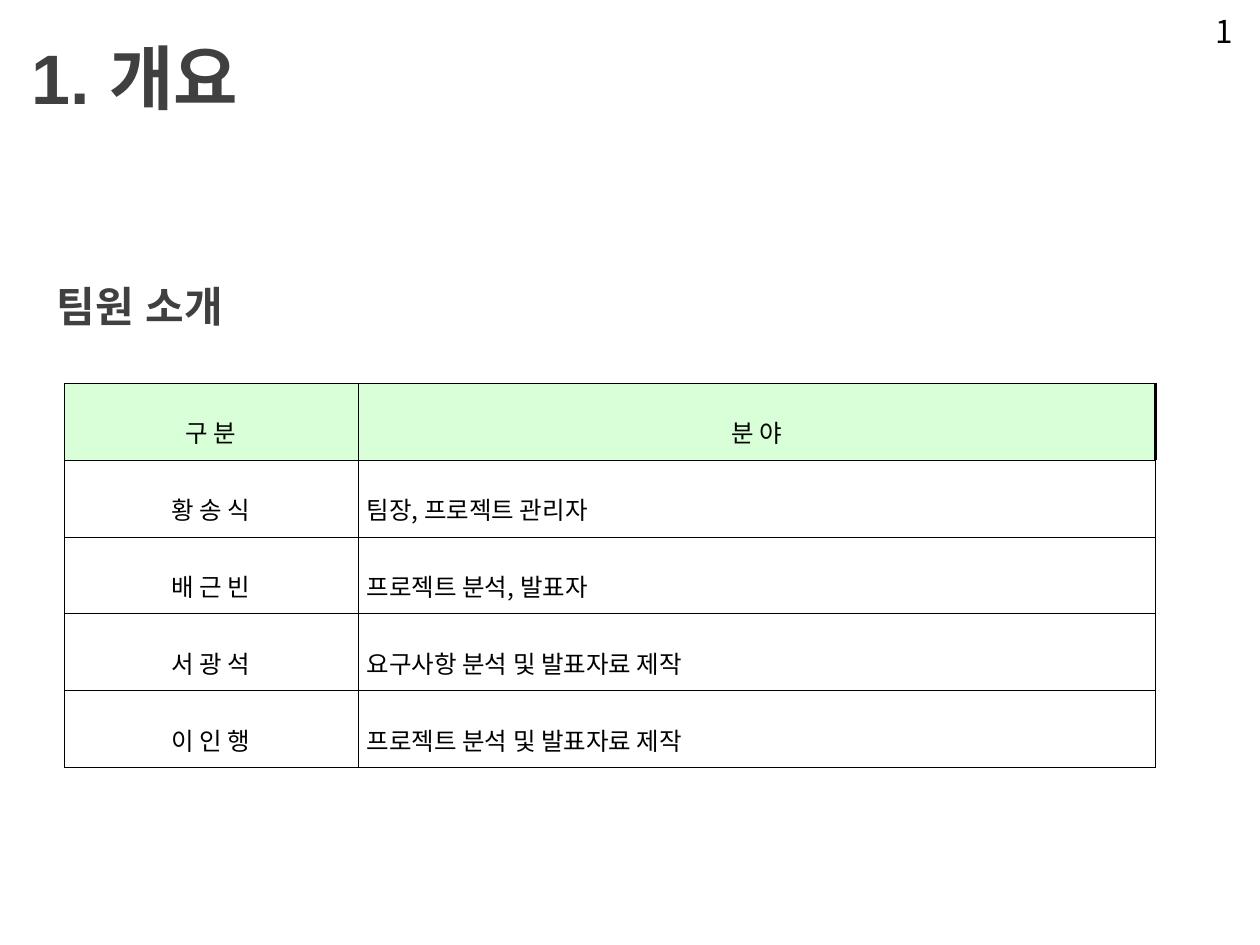
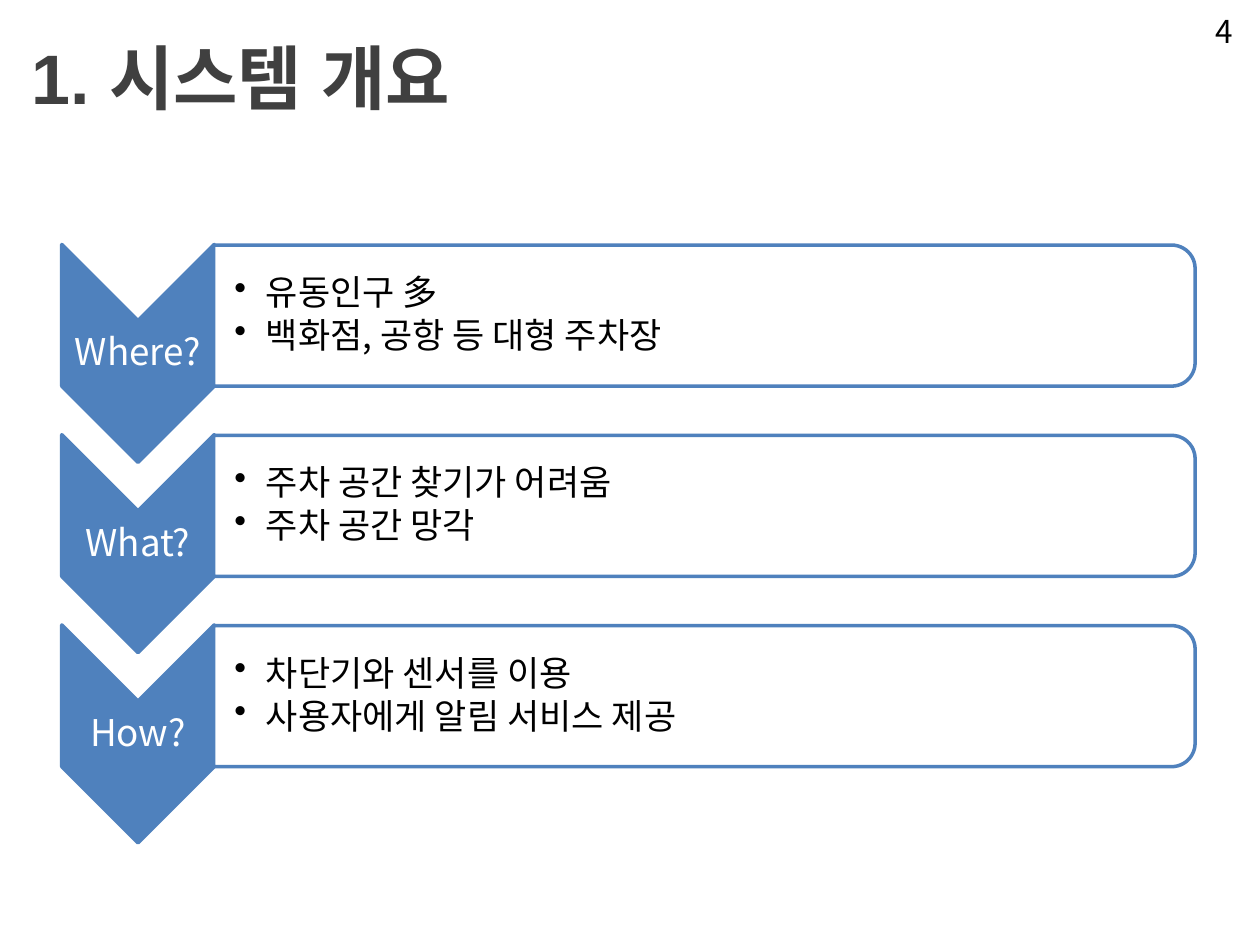
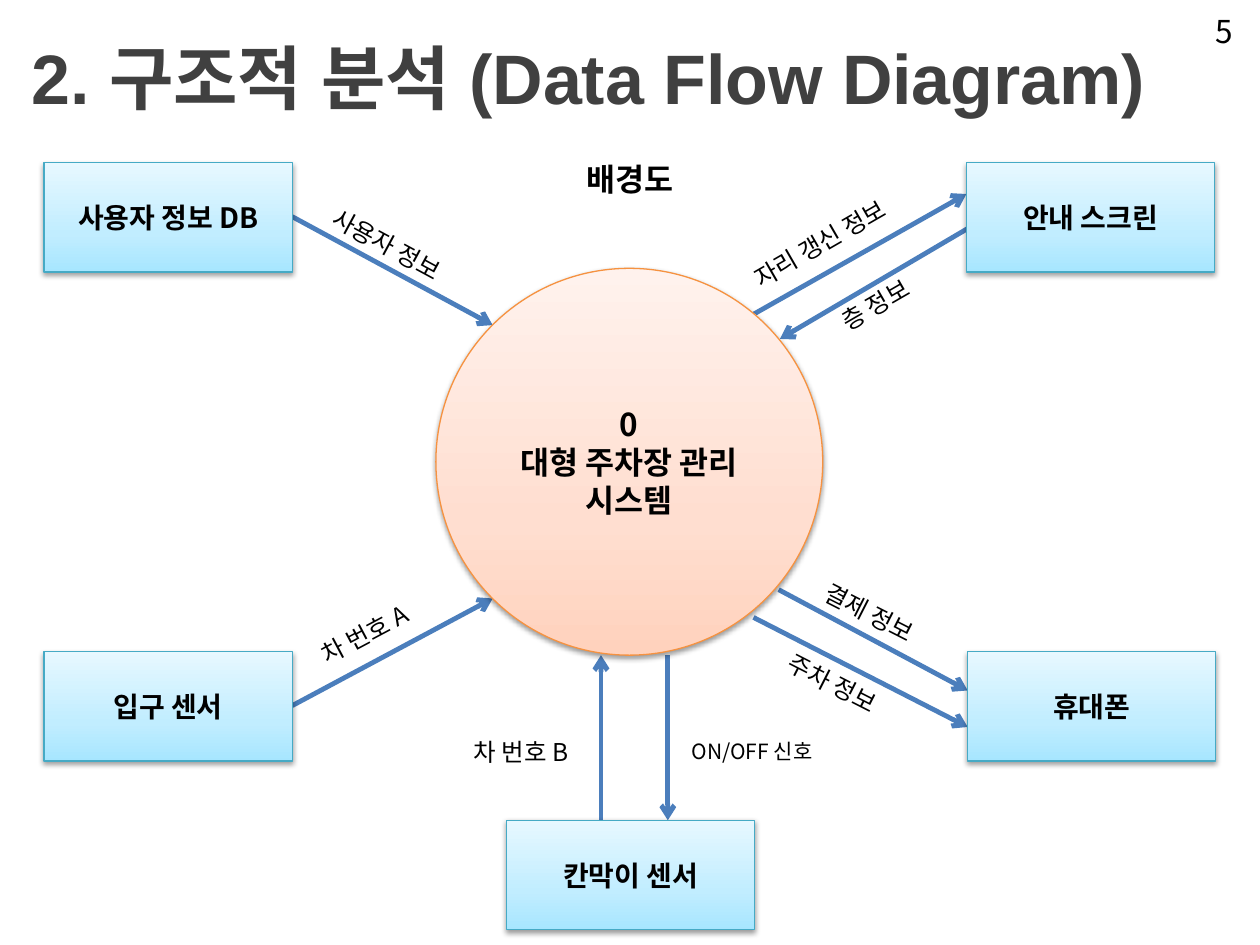
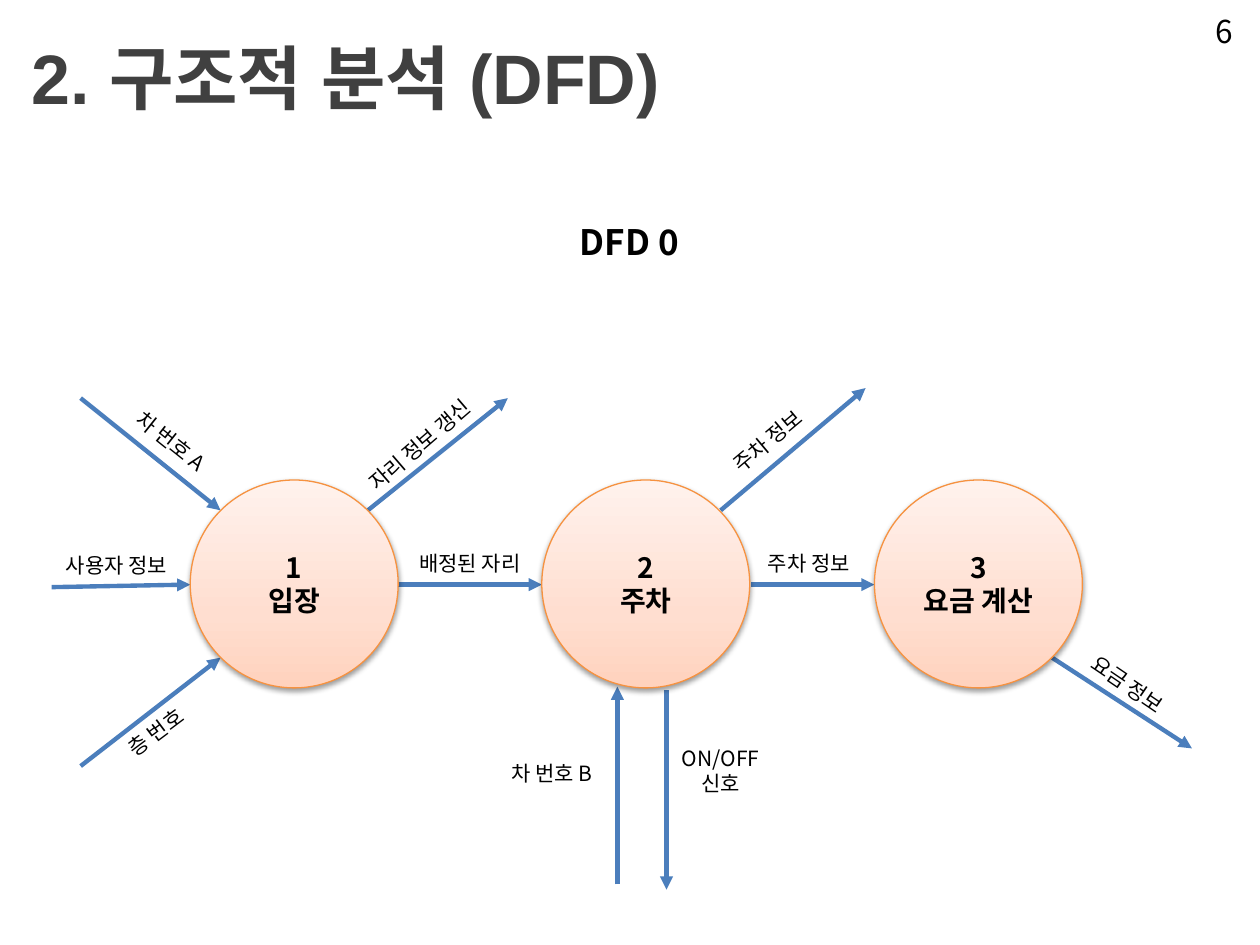
from lxml import etree
from pptx import Presentation
from pptx.dml.color import RGBColor
from pptx.enum.shapes import MSO_CONNECTOR, MSO_SHAPE
from pptx.enum.text import MSO_ANCHOR, MSO_AUTO_SIZE, PP_ALIGN
from pptx.oxml import parse_xml
from pptx.oxml.ns import nsdecls, qn
from pptx.util import Inches, Pt

# Shared look
TITLE_FONT = "Arial"
BODY_FONT = "Noto Sans CJK KR"
BLACK = RGBColor(0x00, 0x00, 0x00)
WHITE = RGBColor(0xFF, 0xFF, 0xFF)
TITLE_GRAY = RGBColor(0x40, 0x40, 0x40)
BLUE = RGBColor(0x4F, 0x81, 0xBD)
ARROW_BLUE = RGBColor(0x4B, 0x7E, 0xBC)
HEADER_GREEN = RGBColor(0xD8, 0xFF, 0xD8)
PROCESS_LINE = RGBColor(0xF6, 0x92, 0x40)
ENTITY_LINE = RGBColor(0x46, 0xAA, 0xC5)
PROCESS_STOPS = [(0, "FFD2BD"), (35, "FFDED0"), (100, "FFF2ED")]
ENTITY_STOPS = [(0, "A7E6FF"), (35, "C1EDFF"), (100, "E7F8FF")]

# Slide 1: team members
TEAM = [
    ("구 분", "분 야"),
    ("황 송 식", "팀장, 프로젝트 관리자"),
    ("배 근 빈", "프로젝트 분석, 발표자"),
    ("서 광 석", "요구사항 분석 및 발표자료 제작"),
    ("이 인 행", "프로젝트 분석 및 발표자료 제작"),
]
TEAM_COLUMNS = [2.33, 6.33]
TEAM_ROW_HEIGHT = 0.61

# Slide 2: system questions
QUESTIONS = [
    ("Where?", "유동인구 多\n백화점, 공항 등 대형 주차장"),
    ("What?", "주차 공간 찾기가 어려움\n주차 공간 망각"),
    ("How?", "차단기와 센서를 이용\n사용자에게 알림 서비스 제공"),
]
QUESTION_TOP, QUESTION_PITCH = 1.94, 1.51

# Slide 3: context diagram; entities are (text, left, top),
# flows are (from x, from y, to x, to y), labels are (text, box, rotation, size)
ENTITY_SIZE = (1.97, 0.87)
ENTITIES = [
    ("사용자 정보 DB", 0.35, 1.29),
    ("입구 센서", 0.35, 5.17),
    ("안내 스크린", 7.67, 1.29),
    ("휴대폰", 7.68, 5.17),
    ("칸막이 센서", 4.02, 6.51),
]
CONTEXT_FLOWS = [
    (5.97, 2.5, 7.67, 1.54),
    (2.32, 5.6, 3.91, 4.75),
    (2.32, 1.72, 3.91, 2.58),
    (7.84, 1.72, 6.19, 2.69),
    (6.18, 4.68, 7.68, 5.48),
    (5.3, 5.2, 5.3, 6.51),
    (4.77, 6.51, 4.77, 5.2),
    (5.98, 4.9, 7.68, 5.77),
]
CONTEXT_LABELS = [
    ("사용자 정보", (2.48, 1.85, 1.47, 0.34), 28.4, 14),
    ("결제 정보", (6.39, 4.81, 1.47, 0.34), 27, 14),
    ("주차 정보", (6.1, 5.37, 1.47, 0.34), 27, 14),
    ("자리 갱신 정보", (5.81, 1.69, 1.65, 0.34), 330, 14),
    ("층 정보", (6.55, 2.22, 0.9, 0.34), 330, 14),
    ("차 번호 A", (2.42, 4.84, 1.06, 0.34), 332, 14),
    ("차 번호 B", (3.66, 5.8, 1.06, 0.34), 0, 14),
    ("ON/OFF 신호", (5.39, 5.81, 1.28, 0.3), 0, 12),
]

# Slide 4: level 0 diagram
PROCESS_TOP, PROCESS_DIAMETER = 3.81, 1.65
PROCESSES = [("1\n입장", 1.51), ("2\n주차", 4.3), ("3\n요금 계산", 6.94)]
PROCESS_FLOWS = [
    (3.16, 4.64, 4.3, 4.64),
    (0.64, 3.16, 1.75, 4.05),
    (0.41, 4.66, 1.51, 4.64),
    (2.92, 4.05, 4.03, 3.16),
    (5.96, 4.64, 6.94, 4.64),
    (5.29, 5.48, 5.29, 7.06),
    (4.9, 7.02, 4.9, 5.45),
    (8.35, 5.22, 9.46, 5.94),
    (0.64, 6.08, 1.75, 5.22),
    (5.72, 4.05, 6.87, 3.08),
]
PROCESS_LABELS = [
    ("차 번호 A", (0.85, 3.35, 1.02, 0.3), 38.6, 12),
    ("사용자 정보", (0.35, 4.34, 1.15, 0.3), 0, 12),
    ("층 번호", (0.62, 5.66, 1.23, 0.3), 323.2, 12),
    ("자리 정보 갱신", (2.66, 3.38, 1.34, 0.3), 319.3, 12),
    ("배정된 자리", (3.06, 4.32, 1.34, 0.3), 0, 12),
    ("차 번호 B", (3.87, 5.99, 1.02, 0.3), 0, 12),
    ("주차 정보", (5.75, 4.32, 1.34, 0.3), 0, 12),
    ("ON/OFF\n신호", (5.21, 5.87, 1.02, 0.5), 0, 12),
    ("주차 정보", (5.58, 3.35, 1.02, 0.3), 320, 12),
    ("요금 정보", (8.44, 5.28, 1.02, 0.3), 34.2, 12),
]


def inches(values):
    return [Inches(value) for value in values]


def set_text(frame, text, size, color=BLACK, bold=False, align=PP_ALIGN.LEFT,
             font=BODY_FONT, spacing=None):
    frame.text = text
    frame.word_wrap = True
    for paragraph in frame.paragraphs:
        paragraph.alignment = align
        if spacing:
            paragraph.line_spacing = spacing
        for run in paragraph.runs:
            run.font.size = Pt(size)
            run.font.bold = bold
            run.font.name = font
            run.font.color.rgb = color
            east_asian = etree.SubElement(run.font._element, qn("a:ea"))
            east_asian.set("typeface", font)


def set_margins(target, left, top, right, bottom):
    target.margin_left, target.margin_top = Inches(left), Inches(top)
    target.margin_right, target.margin_bottom = Inches(right), Inches(bottom)


def add_text(slide, box, text, size, anchor=None, rotation=0, **style):
    """Add a text box; without an anchor it grows to fit its text."""
    shape = slide.shapes.add_textbox(*inches(box))
    shape.rotation = rotation
    frame = shape.text_frame
    set_text(frame, text, size, **style)
    if anchor is None:
        frame.auto_size = MSO_AUTO_SIZE.SHAPE_TO_FIT_TEXT
    else:
        frame.vertical_anchor = anchor
    return frame


def add_slide(presentation, title, number):
    slide = presentation.slides.add_slide(presentation.slide_layouts[6])
    frame = add_text(slide, (0, 0.02, 10, 1.17), title, 40, MSO_ANCHOR.MIDDLE,
                     color=TITLE_GRAY, bold=True, font=TITLE_FONT)
    frame.margin_left = Inches(0.25)
    add_text(slide, (9.33, 0.05, 0.55, 0.4), number, 18, align=PP_ALIGN.RIGHT)
    return slide


def add_shape(slide, kind, box, line_color, line_width):
    shape = slide.shapes.add_shape(kind, *inches(box))
    shape.shadow.inherit = False
    shape.line.color.rgb = line_color
    shape.line.width = Pt(line_width)
    return shape


def add_node(slide, kind, box, text, size, stops, line_color):
    """Add a diagram node with a vertical gradient and a soft shadow."""
    shape = add_shape(slide, kind, box, line_color, 0.75)
    shape.fill.gradient()
    shape.fill.gradient_angle = 90
    properties = shape._element.spPr
    stop_list = properties.find(qn("a:gradFill")).find(qn("a:gsLst"))
    for stop in list(stop_list):
        stop_list.remove(stop)
    for position, color in stops:
        stop_list.append(parse_xml(
            f'<a:gs {nsdecls("a")} pos="{position * 1000}">'
            f'<a:srgbClr val="{color}"/></a:gs>'))
    properties.find(qn("a:effectLst")).append(parse_xml(
        f'<a:outerShdw {nsdecls("a")} blurRad="{Pt(3.1)}" dist="{Pt(1.6)}" '
        'dir="5400000" rotWithShape="0"><a:srgbClr val="000000">'
        '<a:alpha val="38000"/></a:srgbClr></a:outerShdw>'))
    shape.text_frame.vertical_anchor = MSO_ANCHOR.MIDDLE
    set_text(shape.text_frame, text, size, bold=True, align=PP_ALIGN.CENTER)


def add_flows(slide, flows, width, head):
    for ends in flows:
        connector = slide.shapes.add_connector(MSO_CONNECTOR.STRAIGHT, *inches(ends))
        connector.line.color.rgb = ARROW_BLUE
        connector.line.width = Pt(width)
        properties = connector._element.spPr
        etree.SubElement(properties.find(qn("a:ln")), qn("a:tailEnd")).set("type", head)
        etree.SubElement(properties, qn("a:effectLst"))


def add_labels(slide, labels, align):
    for text, box, rotation, size in labels:
        add_text(slide, box, text, size, rotation=rotation, align=align)


def set_borders(cell, right_width):
    properties = cell._tc.get_or_add_tcPr()
    widths = [("lnL", 0.28), ("lnR", right_width), ("lnT", 0.28), ("lnB", 0.28)]
    for index, (side, width) in enumerate(widths):
        properties.insert(index, parse_xml(
            f'<a:{side} {nsdecls("a")} w="{Pt(width)}"><a:solidFill>'
            f'<a:srgbClr val="{BLACK}"/></a:solidFill></a:{side}>'))


def build_team(presentation):
    slide = add_slide(presentation, "1. 개요", "1")
    add_text(slide, (0.35, 2.18, 9, 0.5), "팀원 소개", 24, MSO_ANCHOR.MIDDLE,
             color=TITLE_GRAY, bold=True, font=TITLE_FONT)
    box = (0.51, 3.04, sum(TEAM_COLUMNS), TEAM_ROW_HEIGHT * len(TEAM))
    table = slide.shapes.add_table(len(TEAM), len(TEAM_COLUMNS), *inches(box)).table
    table.first_row = table.horz_banding = False
    for column, width in zip(table.columns, TEAM_COLUMNS):
        column.width = Inches(width)
    for row_index, row in enumerate(TEAM):
        for column_index, text in enumerate(row):
            cell = table.cell(row_index, column_index)
            header, duty = row_index == 0, column_index == 1
            align = PP_ALIGN.JUSTIFY if duty and not header else PP_ALIGN.CENTER
            set_text(cell.text_frame, text, 14, align=align, spacing=1.6)
            set_margins(cell, 0.07, 0.02, 0.07, 0.02)
            cell.vertical_anchor = MSO_ANCHOR.MIDDLE
            if header:
                cell.fill.solid()
                cell.fill.fore_color.rgb = HEADER_GREEN
            else:
                cell.fill.background()
            set_borders(cell, 1.7 if header and duty else 0.28)


def add_bullets(frame):
    for paragraph in frame.paragraphs:
        paragraph.space_after = Pt(3)
        properties = paragraph._p.get_or_add_pPr()
        properties.set("marL", str(Inches(0.25)))
        properties.set("indent", str(Inches(-0.25)))
        etree.SubElement(properties, qn("a:buChar")).set("char", "•")


def build_questions(presentation):
    slide = add_slide(presentation, "1. 시스템 개요", "4")
    for index, (question, answers) in enumerate(QUESTIONS):
        top = QUESTION_TOP + index * QUESTION_PITCH
        # Both outlines are turned a quarter, so their boxes are upright
        outlines = [
            (MSO_SHAPE.CHEVRON, (0.23, top + 0.26, 1.73, 1.21), BLUE),
            (MSO_SHAPE.ROUND_2_SAME_RECTANGLE, (5.03, top - 3.33, 1.12, 7.79), WHITE),
        ]
        for kind, box, color in outlines:
            shape = add_shape(slide, kind, box, BLUE, 2)
            shape.rotation = 90
            shape.fill.solid()
            shape.fill.fore_color.rgb = color
        frame = add_text(slide, (0.49, top + 0.61, 1.21, 0.52), question, 21,
                         MSO_ANCHOR.MIDDLE, color=WHITE, align=PP_ALIGN.CENTER,
                         spacing=0.9)
        set_margins(frame, 0.01, 0.01, 0.01, 0.01)
        frame = add_text(slide, (1.7, top + 0.06, 7.74, 1.01), answers, 20,
                         MSO_ANCHOR.MIDDLE, spacing=0.9)
        set_margins(frame, 0.16, 0.01, 0.01, 0.01)
        add_bullets(frame)


def build_context(presentation):
    slide = add_slide(presentation, "2. 구조적 분석 (Data Flow Diagram)", "5")
    add_flows(slide, CONTEXT_FLOWS, 2.75, "arrow")
    add_node(slide, MSO_SHAPE.OVAL, (3.46, 2.13, 3.07, 3.07),
             "0\n대형 주차장 관리 시스템", 18, PROCESS_STOPS, PROCESS_LINE)
    for text, left, top in ENTITIES:
        add_node(slide, MSO_SHAPE.RECTANGLE, (left, top, *ENTITY_SIZE),
                 text, 16, ENTITY_STOPS, ENTITY_LINE)
    add_labels(slide, CONTEXT_LABELS, PP_ALIGN.LEFT)
    add_text(slide, (3.88, 1.22, 2.24, 0.4), "배경도", 18, bold=True,
             align=PP_ALIGN.CENTER)


def build_processes(presentation):
    slide = add_slide(presentation, "2. 구조적 분석 (DFD)", "6")
    add_text(slide, (3.69, 1.7, 2.61, 0.44), "DFD 0", 20, bold=True,
             align=PP_ALIGN.CENTER)
    add_flows(slide, PROCESS_FLOWS, 2.5, "triangle")
    for text, left in PROCESSES:
        box = (left, PROCESS_TOP, PROCESS_DIAMETER, PROCESS_DIAMETER)
        add_node(slide, MSO_SHAPE.OVAL, box, text, 16, PROCESS_STOPS, PROCESS_LINE)
    add_labels(slide, PROCESS_LABELS, PP_ALIGN.CENTER)


def main():
    presentation = Presentation()
    presentation.slide_width, presentation.slide_height = Inches(10), Inches(7.5)
    build_team(presentation)
    build_questions(presentation)
    build_context(presentation)
    build_processes(presentation)
    presentation.save("out.pptx")


if __name__ == "__main__":
    main()
